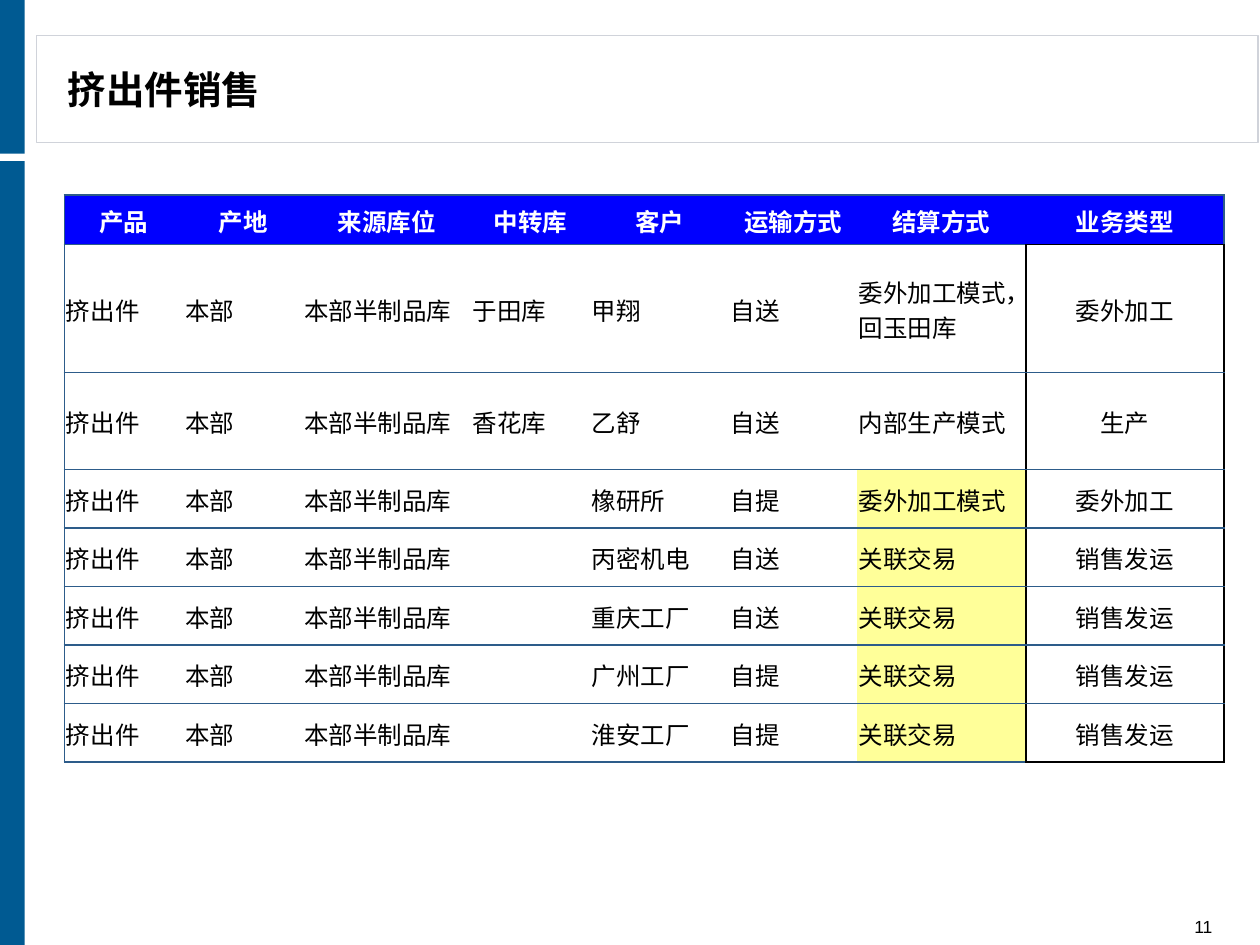
"""Build the extruded-parts sales slide with its settlement table."""
from lxml.etree import SubElement
from pptx import Presentation
from pptx.dml.color import RGBColor
from pptx.enum.shapes import MSO_SHAPE
from pptx.enum.text import MSO_ANCHOR as ANCHOR, PP_ALIGN as ALIGN
from pptx.oxml.ns import qn
from pptx.util import Cm, Pt

COLORS = {"black": "000000", "white": "FFFFFF", "frame": "D0D3DA", "band": "005A92",
          "header": "0000FF", "highlight": "FFFF99", "rule": "2D5C8A"}
LATIN, CJK = "Arial", "Noto Sans CJK SC"


def write(frame, text, align, color="black", face=LATIN, size=14, bold=False):
    paragraph = frame.paragraphs[0]
    paragraph.alignment = align
    run = paragraph.add_run()
    run.text = text
    for attribute, value in {"size": Pt(size), "bold": bold, "name": face}.items():
        setattr(run.font, attribute, value)
    run.font.color.rgb = RGBColor.from_string(COLORS[color])
    SubElement(run.font._element, qn("a:ea"), typeface=CJK)


def add_border(cell, side, color):
    border = SubElement(cell._tc.get_or_add_tcPr(), qn(f"a:ln{side}"), w=str(Pt(1)))
    if color:
        solid = SubElement(border, qn("a:solidFill"))
        SubElement(solid, qn("a:srgbClr"), val=COLORS[color])
    else:
        SubElement(border, qn("a:noFill"))


deck = Presentation()
deck.slide_width, deck.slide_height = Cm(25.4), Cm(19.05)
slide = deck.slides.add_slide(deck.slide_layouts[6])

panels = [((0.74, 0.72, 24.62, 2.16), "white", "frame"),
          ((0, 3.25, 0.5, 15.8), "band", None),
          ((0, 0, 0.5, 3.1), "band", None)]
for box, fill, outline in panels:
    panel = slide.shapes.add_shape(MSO_SHAPE.RECTANGLE, *map(Cm, box))
    panel.shadow.inherit = False
    panel.fill.solid()
    panel.fill.fore_color.rgb = RGBColor.from_string(COLORS[fill])
    if outline:
        panel.line.color.rgb = RGBColor.from_string(COLORS[outline])
        panel.line.width = Pt(0.75)
    else:
        panel.line.fill.background()

captions = [("挤出件销售", (1.12, 0.79, 16, 2), ANCHOR.MIDDLE, ALIGN.LEFT, 22, True),
            ("11", (22.3, 18.44, 2.39, 0.46), ANCHOR.BOTTOM, ALIGN.RIGHT, 10, False)]
for text, box, anchor, align, size, bold in captions:
    frame = slide.shapes.add_textbox(*map(Cm, box)).text_frame
    layout = {"word_wrap": True, "vertical_anchor": anchor, "margin_top": 0, "margin_bottom": 0}
    for attribute, value in layout.items():
        setattr(frame, attribute, value)
    write(frame, text, align, size=size, bold=bold)

headings = ["产品", "产地", "来源库位", "中转库", "客户", "运输方式", "结算方式", "业务类型"]
shipments = [
    ("于田库", "甲翔", "自送", "委外加工模式，回玉田库", "委外加工"),
    ("香花库", "乙舒", "自送", "内部生产模式", "生产"),
    ("", "橡研所", "自提", "委外加工模式", "委外加工"),
    ("", "丙密机电", "自送", "关联交易", "销售发运"),
    ("", "重庆工厂", "自送", "关联交易", "销售发运"),
    ("", "广州工厂", "自提", "关联交易", "销售发运"),
    ("", "淮安工厂", "自提", "关联交易", "销售发运"),
]
rows = [headings] + [("挤出件", "本部", "本部半制品库", *shipment) for shipment in shipments]
widths = [2.4, 2.4, 3.4, 2.4, 2.8, 2.58, 3.4, 4]
heights = [1, 2.58, 1.95] + [1.18] * 5
SETTLEMENT, BUSINESS, LAST_ROW = 6, 7, len(rows) - 1

sales = slide.shapes.add_table(len(rows), len(headings), Cm(1.3), Cm(3.93),
                               Cm(sum(widths)), Cm(sum(heights))).table
sales.first_row = sales.horz_banding = False
for column, width in zip(sales.columns, widths):
    column.width = Cm(width)
for row, height in zip(sales.rows, heights):
    row.height = Cm(height)

cell_format = {"vertical_anchor": ANCHOR.MIDDLE, "margin_left": Cm(0.03),
               "margin_right": Cm(0.03), "margin_top": Cm(0.03), "margin_bottom": 0}
for r, values in enumerate(rows):
    for c, value in enumerate(values):
        cell = sales.cell(r, c)
        for attribute, setting in cell_format.items():
            setattr(cell, attribute, setting)
        is_header, is_business = r == 0, c == BUSINESS
        side_color = "black" if not is_header else "rule" if is_business else None
        borders = {
            "L": "rule" if c == 0 else "black" if is_business and not is_header else None,
            "R": side_color if c >= SETTLEMENT else None,
            "T": "black" if is_business and r == 1 else "rule",
            "B": "black" if is_business and r in (0, LAST_ROW) else "rule",
        }
        for side, color in borders.items():
            add_border(cell, side, color)
        highlighted = c == SETTLEMENT and r > 2
        fill = "header" if is_header else "highlight" if highlighted else "white"
        cell.fill.solid()
        cell.fill.fore_color.rgb = RGBColor.from_string(COLORS[fill])
        if value:
            centred = is_header or is_business
            write(cell.text_frame, value, ALIGN.CENTER if centred else ALIGN.LEFT,
                  color="white" if is_header else "black",
                  face=LATIN if centred else CJK, bold=is_header)

deck.save("out.pptx")
